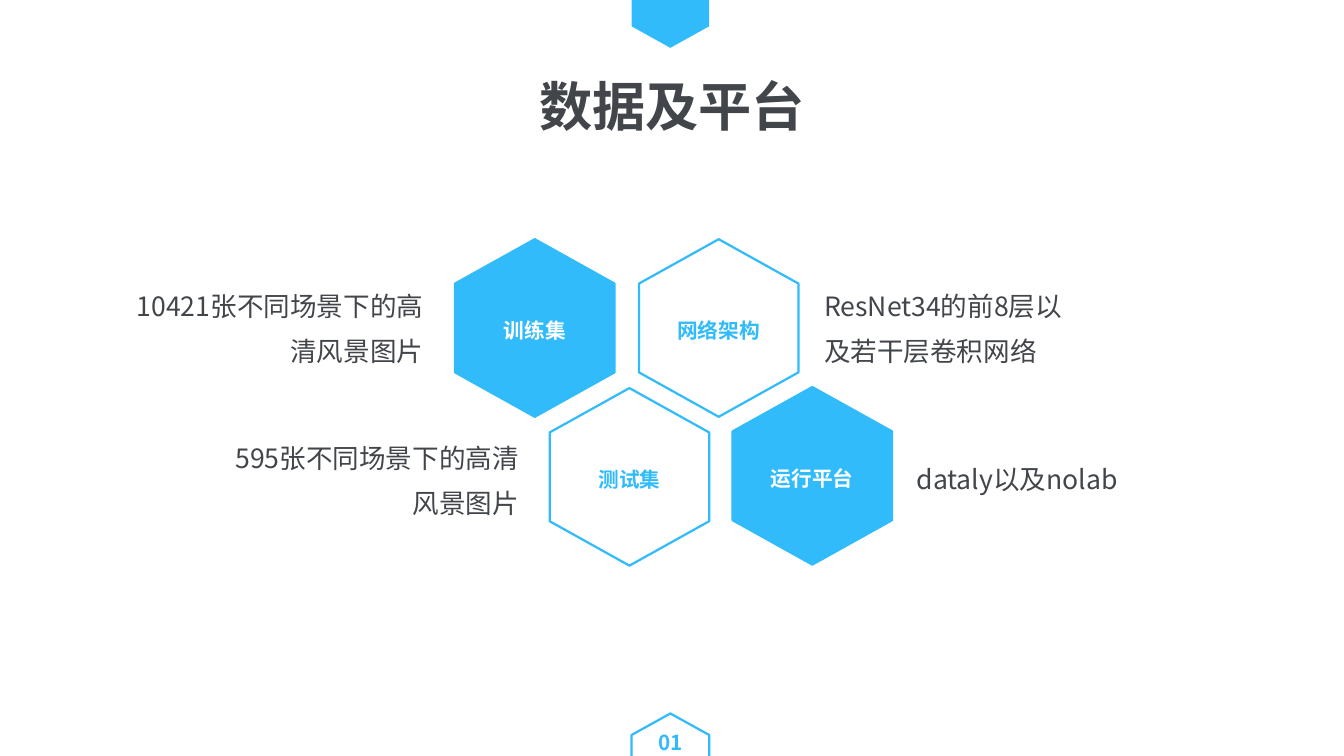
import pptx
import pptx.dml.color
import pptx.enum.text
import pptx.oxml.ns
import pptx.util
from lxml import etree

Inches = pptx.util.Inches
ALIGN = pptx.enum.text.PP_ALIGN
ANCHOR = pptx.enum.text.MSO_ANCHOR
FONT = "Noto Sans CJK SC"
BLUE, DARK, WHITE = "31BBFB", "42464B", "FFFFFF"


def write_text(shape, text, size, color, bold, align, spacing, insets, anchor=ANCHOR.TOP):
    """Fill a shape with one run; insets are left, top, right, bottom in inches."""
    frame = shape.text_frame
    frame.word_wrap = True
    frame.auto_size = pptx.enum.text.MSO_AUTO_SIZE.NONE
    frame.vertical_anchor = anchor
    frame.margin_left, frame.margin_top, frame.margin_right, frame.margin_bottom = map(Inches, insets)
    para = frame.paragraphs[0]
    para.alignment = align
    para.line_spacing = spacing
    span = para.add_run()
    span.text = text
    span.font.size = pptx.util.Pt(size)
    span.font.bold = bold
    span.font.name = FONT
    span.font.color.rgb = pptx.dml.color.RGBColor.from_string(color)
    east_asian = etree.SubElement(span.font._element, pptx.oxml.ns.qn("a:ea"))
    east_asian.set("typeface", FONT)


def add_hexagon(left, top, width, height, fill, line):
    """Draw a pointed-top hexagon; None means no fill or no line."""
    corners = [(1, 0.75), (0.5, 1), (0, 0.75), (0, 0.25), (0.5, 0), (1, 0.25)]
    points = [(Inches(left + width * x), Inches(top + height * y)) for x, y in corners]
    builder = slide.shapes.build_freeform(*points[0])
    builder.add_line_segments(points[1:], close=True)
    hexagon = builder.convert_to_shape()
    hexagon.shadow.inherit = False
    for paint, color in ((hexagon.fill, fill), (hexagon.line.fill, line)):
        if color is None:
            paint.background()
        else:
            paint.solid()
            paint.fore_color.rgb = pptx.dml.color.RGBColor.from_string(color)
    if line:
        hexagon.line.width = pptx.util.Pt(1.5)
    return hexagon


deck = pptx.Presentation()
deck.slide_width, deck.slide_height = Inches(12.64), Inches(7.11)
slide = deck.slides.add_slide(deck.slide_layouts.get_by_name("Title Only"))

# Hexagons cut by the top and bottom edges
add_hexagon(5.94, -0.36, 0.73, 0.81, BLUE, None)
add_hexagon(5.94, 6.71, 0.73, 0.81, None, BLUE)

# Title and page number
heading_insets = (0.03, 0.01, 0.03, 0.01)
title = slide.shapes.title
title.left, title.top, title.width, title.height = map(Inches, (3.56, 0.58, 5.52, 0.73))
write_text(title, "数据及平台", 36, DARK, True, ALIGN.CENTER, 1.16, heading_insets)
page_number = slide.shapes.add_textbox(*map(Inches, (6, 6.82, 0.61, 0.3)))
write_text(page_number, "01", 14, BLUE, True, ALIGN.CENTER, 1.16, heading_insets)

# Honeycomb: label, left, top, fill, text colour
cells = [
    ("训练集", 4.28, 2.25, BLUE, WHITE),
    ("测试集", 5.17, 3.65, None, BLUE),
    ("网络架构", 6.01, 2.25, WHITE, BLUE),
    ("运行平台", 6.89, 3.64, BLUE, WHITE),
]
for label, left, top, fill, color in cells:
    hexagon = add_hexagon(left, top, 1.5, 1.67, fill, BLUE)
    write_text(hexagon, label, 14, color, True, ALIGN.CENTER, 1.16,
               (0.14, 0.05, 0.14, 0.05), ANCHOR.MIDDLE)

# Descriptions beside the honeycomb
descriptions = [
    ("595张不同场景下的高清风景图片", 2.17, 4.03, 2.78, 0.9, ALIGN.RIGHT),
    ("10421张不同场景下的高清风景图片", 1.27, 2.6, 2.78, 0.9, ALIGN.RIGHT),
    ("dataly以及nolab", 8.62, 4.23, 2.78, 0.48, ALIGN.LEFT),
    ("ResNet34的前8层以及若干层卷积网络", 7.75, 2.6, 2.48, 0.9, ALIGN.LEFT),
]
for text, left, top, width, height, align in descriptions:
    box = slide.shapes.add_textbox(*map(Inches, (left, top, width, height)))
    write_text(box, text, 18, DARK, False, align, 1.41, (0, 0, 0.07, 0.05))

deck.save("out.pptx")
